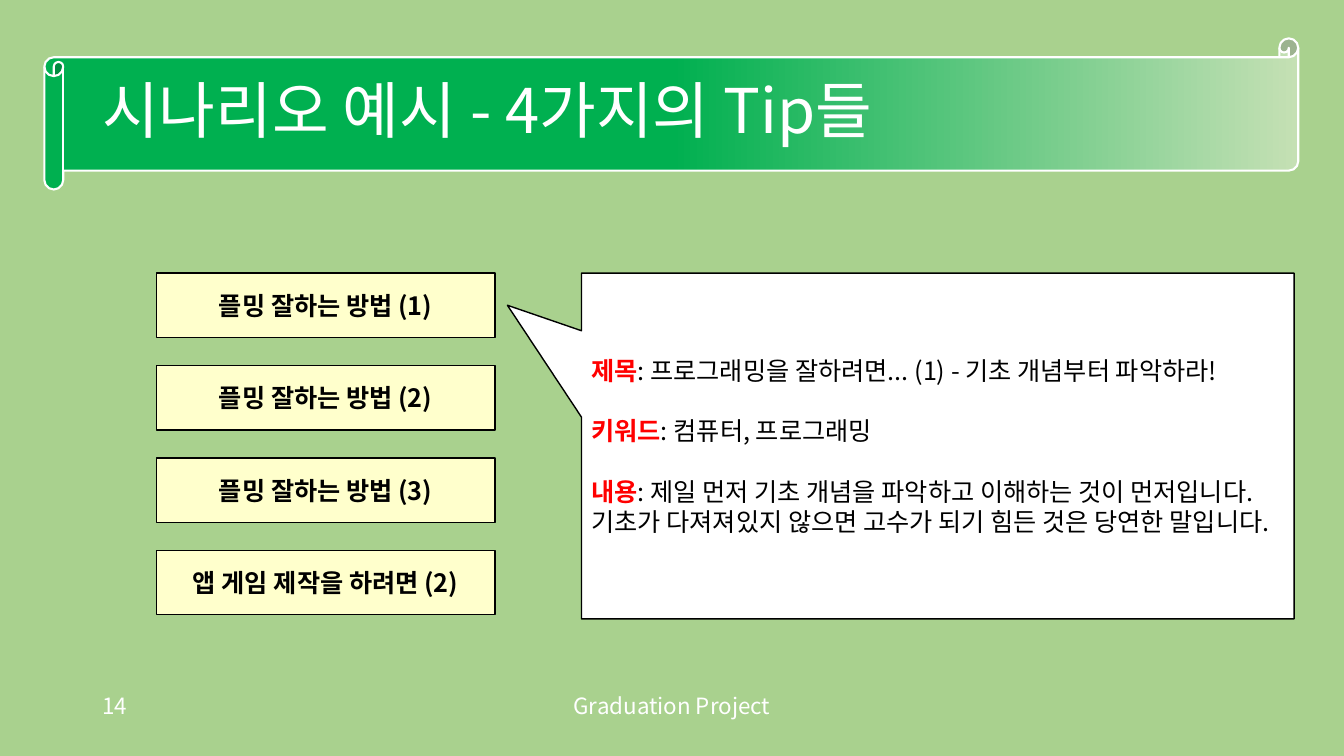
import pptx
import pptx.util
from lxml import etree
from pptx.dml.color import RGBColor
from pptx.enum.shapes import MSO_SHAPE
from pptx.enum.text import MSO_ANCHOR, PP_ALIGN
from pptx.oxml.ns import qn

Pt = pptx.util.Pt

# Content
TITLE = "시나리오 예시 - 4가지의 Tip들"
FOOTER = "Graduation Project"
PAGE_NUMBER = "14"
TIPS = [
    "플밍 잘하는 방법 (1)",
    "플밍 잘하는 방법 (2)",
    "플밍 잘하는 방법 (3)",
    "앱 게임 제작을 하려면 (2)",
]
DETAILS = [
    ("제목", ": 프로그래밍을 잘하려면... (1) - 기초 개념부터 파악하라!"),
    ("키워드", ": 컴퓨터, 프로그래밍"),
    ("내용", ": 제일 먼저 기초 개념을 파악하고 이해하는 것이 먼저입니다. "
             "기초가 다져져있지 않으면 고수가 되기 힘든 것은 당연한 말입니다."),
]

# Style
FONT = "Noto Sans CJK KR"
BACKGROUND = RGBColor(0xA9, 0xD1, 0x8E)
PALE_GREEN = RGBColor(0xC5, 0xE0, 0xB4)
GREEN = RGBColor(0x00, 0xB0, 0x50)
CREAM = RGBColor(0xFF, 0xFF, 0xCC)
WHITE = RGBColor(0xFF, 0xFF, 0xFF)
BLACK = RGBColor(0x00, 0x00, 0x00)
RED = RGBColor(0xFF, 0x00, 0x00)

# Layout in points
TIP_LEFT, TIP_TOP, TIP_WIDTH, TIP_HEIGHT, TIP_PITCH = 111.6, 195.1, 242, 46, 66
CALLOUT_BOX = (415.4, 195.1, 509, 247)
DETAIL_GAP = 21.7


def add_span(para, text, size, color, bold=False):
    span = para.add_run()
    span.text = text
    span.font.name = FONT
    span.font.size = Pt(size)
    span.font.bold = bold
    span.font.color.rgb = color
    east_asian = etree.SubElement(span.font._element, qn("a:ea"))
    east_asian.set("typeface", FONT)


def add_label(page, box, text, size, align, anchor=MSO_ANCHOR.TOP):
    label = page.shapes.add_textbox(*map(Pt, box))
    label.text_frame.word_wrap = True
    label.text_frame.vertical_anchor = anchor
    para = label.text_frame.paragraphs[0]
    para.alignment = align
    add_span(para, text, size, WHITE)
    return para


def add_panel(page, kind, box, fill, line, line_width):
    panel = page.shapes.add_shape(kind, *map(Pt, box))
    panel.shadow.inherit = False
    if fill is not None:
        panel.fill.solid()
        panel.fill.fore_color.rgb = fill
    panel.line.color.rgb = line
    panel.line.width = Pt(line_width)
    panel.text_frame.word_wrap = True
    panel.text_frame.vertical_anchor = MSO_ANCHOR.MIDDLE
    return panel


def main():
    deck = pptx.Presentation()
    deck.slide_width, deck.slide_height = Pt(960), Pt(540)
    page = deck.slides.add_slide(deck.slide_layouts[6])
    page.background.fill.solid()
    page.background.fill.fore_color.rgb = BACKGROUND

    # Title scroll
    scroll = add_panel(page, MSO_SHAPE.HORIZONTAL_SCROLL,
                       (31.7, 27.4, 895.7, 108), None, WHITE, 1.5)
    scroll.fill.gradient()
    scroll.fill.gradient_angle = 180
    stops = zip(scroll.fill.gradient_stops, [(0, PALE_GREEN), (0.5, GREEN)])
    for stop, (position, color) in stops:
        stop.position = position
        stop.color.rgb = color
    title = add_label(page, (66, 28.8, 828, 104.4), TITLE, 44,
                      PP_ALIGN.LEFT, MSO_ANCHOR.MIDDLE)
    title.line_spacing = 0.9

    # Footer
    add_label(page, (318, 491, 324, 28.8), FOOTER, 16, PP_ALIGN.CENTER)
    add_label(page, (66, 491, 216, 28.8), PAGE_NUMBER, 16, PP_ALIGN.LEFT)

    # Tip boxes
    for index, tip in enumerate(TIPS):
        box = (TIP_LEFT, TIP_TOP + index * TIP_PITCH, TIP_WIDTH, TIP_HEIGHT)
        panel = add_panel(page, MSO_SHAPE.RECTANGLE, box, CREAM, BLACK, 1)
        para = panel.text_frame.paragraphs[0]
        para.alignment = PP_ALIGN.CENTER
        add_span(para, tip, 18, BLACK, bold=True)

    # Callout with the details of the first tip
    callout = add_panel(page, MSO_SHAPE.RECTANGULAR_CALLOUT, CALLOUT_BOX,
                        WHITE, BLACK, 1)
    callout.adjustments[0] = -0.604
    callout.adjustments[1] = -0.407
    frame = callout.text_frame
    for index, (heading, detail) in enumerate(DETAILS):
        para = frame.add_paragraph() if index else frame.paragraphs[0]
        para.alignment = PP_ALIGN.LEFT
        para.space_before = Pt(DETAIL_GAP if index else 0)
        add_span(para, heading, 18, RED, bold=True)
        add_span(para, detail, 18, BLACK)

    deck.save("out.pptx")


if __name__ == "__main__":
    main()
